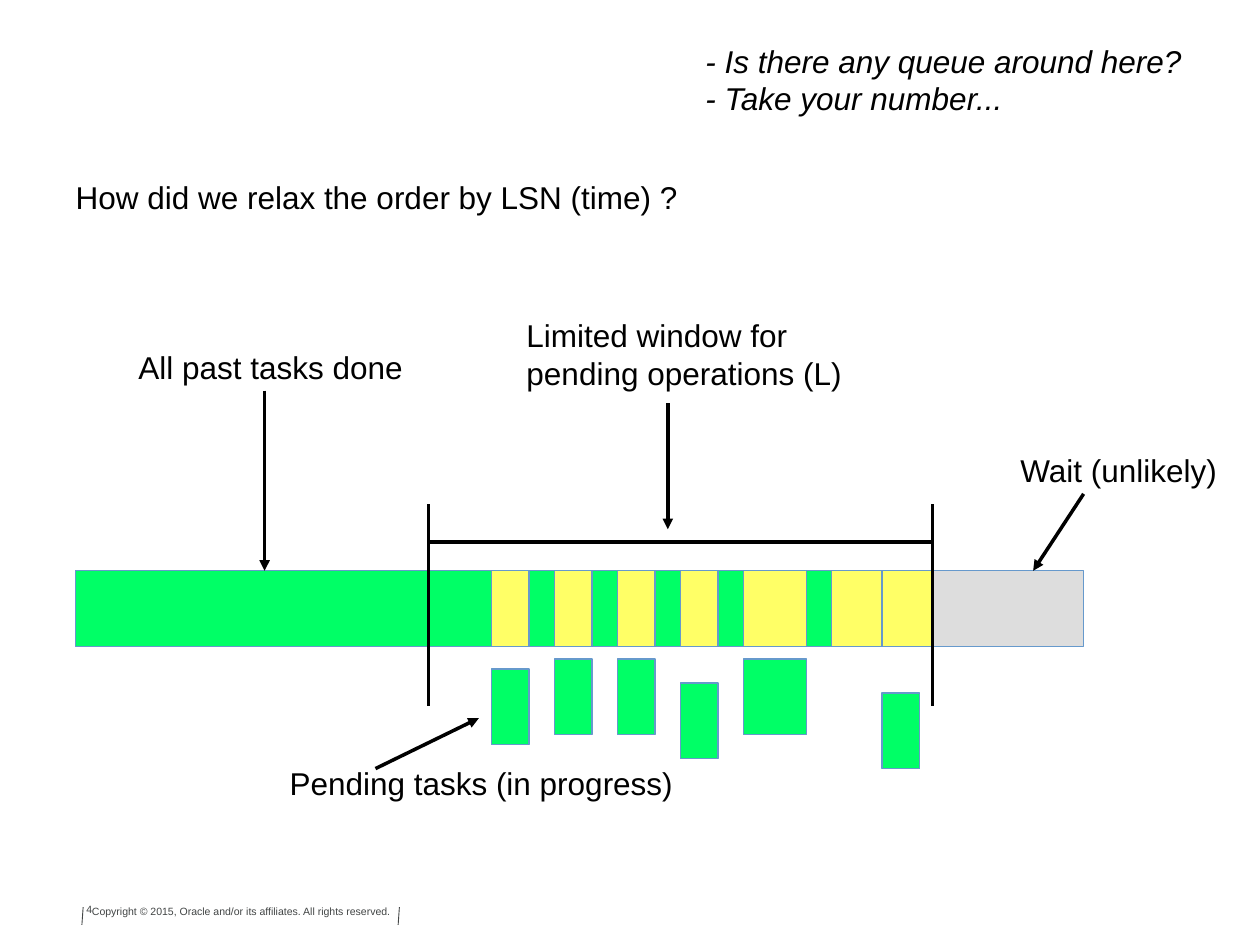
import pptx
from pptx.dml.color import RGBColor
from pptx.enum.shapes import MSO_CONNECTOR, MSO_SHAPE
from pptx.enum.text import MSO_ANCHOR, MSO_AUTO_SIZE, PP_ALIGN
from pptx.oxml.ns import qn
from pptx.util import Inches, Pt
from lxml import etree

THEME = dict(font="Arial", body=18, small=6, ink="000000", foot="424545",
             edge="6699CC", done="00FF66", open="FFFF66", wait="DDDDDD")

TITLE = "How did we relax the order by LSN (time) ?"
QUOTE = ["- Is there any queue around here?", "- Take your number..."]
FOOT = "Copyright © 2015, Oracle and/or its affiliates. All rights reserved."
PAGE = "4"

# Labels: lines, box
LABELS = [
    (["Limited window for", "pending operations (L)"], (4.08, 2.48, 2.72, 0.66)),
    (["Pending tasks (in progress)"], (2.2, 6.02, 3.24, 0.38)),
    (["Wait (unlikely)"], (8, 3.54, 1.76, 0.38)),
    (["All past tasks done"], (1, 2.72, 2.3, 0.38)),
]

# Log bar, left to right: state, width in units, drop of its pending task below
UNIT, LEFT, TOP, HIGH = 0.1, 0.6, 4.53, 0.6
BAR = [
    ("done", 28, None), ("done", 5, None),
    ("open", 3, 0.78), ("done", 2, None),
    ("open", 3, 0.7), ("done", 2, None),
    ("open", 3, 0.7), ("done", 2, None),
    ("open", 3, 0.89), ("done", 2, None),
    ("open", 5, 0.7), ("done", 2, None),
    ("open", 4, None), ("open", 4, 0.97),
    ("wait", 12, None),
]
TASK = 3    # usual width of a task, in units
START, END = 3.4, 7.4    # limits of the window
RULES = [(START, 4, START, 5.6), (END, 4, END, 5.6), (START, 4.3, END, 4.3)]
ARROWS = [(2.98, 6.1, 3.8, 5.7), (5.3, 3.2, 5.3, 4.2),
          (8.6, 3.92, 8.2, TOP), (2.1, 3.1, 2.1, TOP)]
TICKS = [(0.66, 7.2, 0.65, 7.34), (3.17, 7.2, 3.16, 7.34)]


def color(name):
    return RGBColor.from_string(THEME[name])


def write(shape, lines, size="body", ink="ink", italic=False, wrap=False,
          anchor=MSO_ANCHOR.MIDDLE, align=PP_ALIGN.LEFT, pad=(0.1, 0.05)):
    frame = shape.text_frame
    frame.text = "\n".join(lines)
    frame.word_wrap = wrap
    frame.auto_size = MSO_AUTO_SIZE.NONE
    frame.vertical_anchor = anchor
    frame.margin_left = frame.margin_right = Inches(pad[0])
    frame.margin_top = frame.margin_bottom = Inches(pad[1])
    for para in frame.paragraphs:
        para.alignment = align
        font = para.font
        font.name, font.size = THEME["font"], Pt(THEME[size])
        font.italic, font.color.rgb = italic, color(ink)


def label(slide, lines, box, **style):
    write(slide.shapes.add_textbox(*map(Inches, box)), lines, **style)


def block(slide, state, *box):
    shape = slide.shapes.add_shape(MSO_SHAPE.RECTANGLE, *map(Inches, box))
    shape.shadow.inherit = False
    shape.fill.solid()
    shape.fill.fore_color.rgb = color(state)
    shape.line.color.rgb = color("edge")
    shape.line.width = Pt(0)


def line(slide, ends, ink="ink", width=0, arrow=False):
    link = slide.shapes.add_connector(MSO_CONNECTOR.STRAIGHT, *map(Inches, ends))
    link.line.color.rgb = color(ink)
    link.line.width = Pt(width)
    props = link._element.spPr
    if arrow:
        etree.SubElement(props.find(qn("a:ln")), qn("a:tailEnd"), type="triangle")
    etree.SubElement(props, qn("a:effectLst"))


def draw_bar(slide):
    x = LEFT
    for state, units, drop in BAR:
        block(slide, state, x, TOP, units * UNIT, HIGH)
        if drop is not None:
            wide = TASK if units == 4 else units
            block(slide, "done", x, TOP + drop, wide * UNIT, HIGH)
        x += units * UNIT


def main():
    deck = pptx.Presentation()
    deck.slide_width, deck.slide_height = Inches(10), Inches(7.5)
    slide = deck.slides.add_slide(deck.slide_layouts[5])

    title = slide.shapes.title
    title.left, title.top, title.width, title.height = map(
        Inches, (0.5, 1.36, 9.46, 0.94))
    write(title, [TITLE], wrap=True, anchor=MSO_ANCHOR.TOP)
    label(slide, QUOTE, (5.5, 0.3, 4.15, 0.66), italic=True, wrap=True)

    draw_bar(slide)
    for lines, box in LABELS:
        label(slide, lines, box)
    for ends in RULES:
        line(slide, ends)
    for ends in ARROWS:
        line(slide, ends, arrow=True)

    small = dict(size="small", ink="foot", anchor=MSO_ANCHOR.TOP)
    label(slide, [FOOT], (0.69, 7.16, 2.74, 0.32), wrap=True, pad=(0.04, 0.02), **small)
    label(slide, [PAGE], (0.25, 7.12, 0.58, 0.2), align=PP_ALIGN.RIGHT, **small)
    for ends in TICKS:
        line(slide, ends, ink="foot", width=0.5)
    deck.save("out.pptx")


if __name__ == "__main__":
    main()
